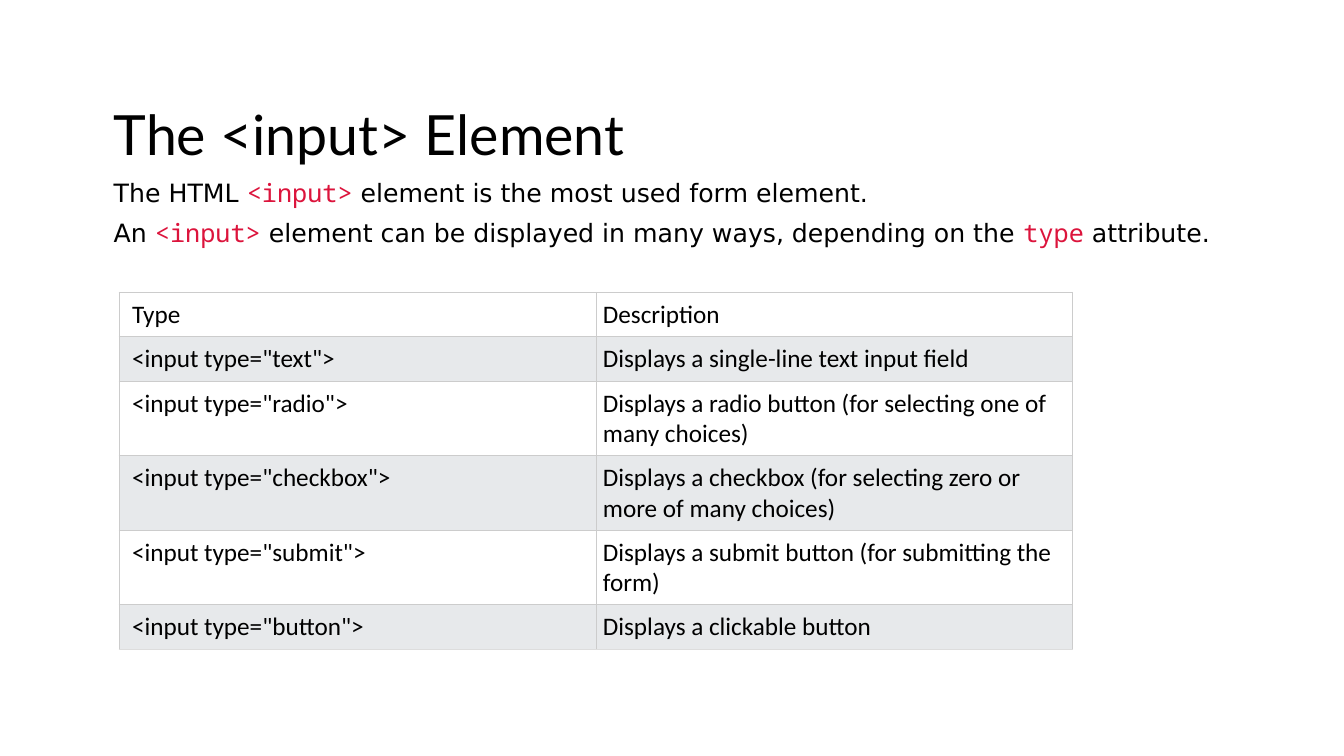
import dataclasses
import pptx
import pptx.dml.color
import pptx.enum.text
import pptx.oxml
import pptx.oxml.ns
import pptx.util
from pptx.util import Inches


@dataclasses.dataclass(frozen=True)
class Theme:
    ink: str = "000000"
    code: str = "DC143C"
    plain_row: str = "FFFFFF"
    shaded_row: str = "E7E9EB"
    border: str = "CCCCCC"
    last_border: str = "DDDDDD"
    border_width: float = 0.6
    title_font: str = "Lato"
    intro_font: str = "DejaVu Sans"
    code_font: str = "Noto Sans Mono"
    table_font: str = "Calibri"
    title_size: float = 39.6
    body_size: float = 18
    line_spacing: float = 1.35


THEME = Theme()
TITLE = "The <input> Element"
INTRO = [
    [("The HTML ", False), ("<input>", True),
     (" element is the most used form element.", False)],
    [("An ", False), ("<input>", True),
     (" element can be displayed in many ways, depending on the ", False),
     ("type", True), (" attribute.", False)],
]
INPUT_TYPES = [
    ("Type", "Description", 0.44),
    ('<input type="text">', "Displays a single-line text input field", 0.44),
    ('<input type="radio">',
     "Displays a radio button (for selecting one of many choices)", 0.74),
    ('<input type="checkbox">',
     "Displays a checkbox (for selecting zero or more of many choices)", 0.74),
    ('<input type="submit">',
     "Displays a submit button (for submitting the form)", 0.74),
    ('<input type="button">', "Displays a clickable button", 0.44),
]


def set_font(font, name, size, color):
    font.name = name
    font.size = pptx.util.Pt(size)
    font.color.rgb = pptx.dml.color.RGBColor.from_string(color)


def add_heading(page, left, top, width, height):
    box = page.shapes.add_textbox(Inches(left), Inches(top), Inches(width), Inches(height))
    frame = box.text_frame
    frame.word_wrap = True
    frame.vertical_anchor = pptx.enum.text.MSO_ANCHOR.TOP
    frame.margin_top = frame.margin_bottom = 0
    para = frame.paragraphs[0]
    para.text = TITLE
    para.line_spacing = THEME.line_spacing
    set_font(para.font, THEME.title_font, THEME.title_size, THEME.ink)
    for line in INTRO:
        para = frame.add_paragraph()
        para.line_spacing = THEME.line_spacing
        for text, is_code in line:
            span = para.add_run()
            span.text = text
            name = THEME.code_font if is_code else THEME.intro_font
            color = THEME.code if is_code else THEME.ink
            set_font(span.font, name, THEME.body_size, color)


def set_borders(cell, bottom_color):
    properties = cell._tc.get_or_add_tcPr()
    namespace = pptx.oxml.ns.nsdecls("a")
    width = pptx.util.Pt(THEME.border_width)
    for position, side in enumerate(("lnL", "lnR", "lnT", "lnB")):
        color = bottom_color if side == "lnB" else THEME.border
        line = pptx.oxml.parse_xml(
            f'<a:{side} {namespace} w="{width}"><a:solidFill>'
            f'<a:srgbClr val="{color}"/></a:solidFill></a:{side}>')
        properties.insert(position, line)


def add_type_table(page, left, top, width):
    height = sum(row[2] for row in INPUT_TYPES)
    table = page.shapes.add_table(
        len(INPUT_TYPES), 2, Inches(left), Inches(top), Inches(width), Inches(height)).table
    for column in table.columns:
        column.width = Inches(width / 2)
    for index, (name, description, row_height) in enumerate(INPUT_TYPES):
        table.rows[index].height = Inches(row_height)
        is_last = index == len(INPUT_TYPES) - 1
        fill = THEME.shaded_row if index % 2 else THEME.plain_row
        for cell, text, inset in zip(table.rows[index].cells, (name, description), (0.13, 0.07)):
            cell.text = text
            cell.margin_left = Inches(inset)
            cell.margin_right = cell.margin_top = cell.margin_bottom = Inches(0.07)
            cell.fill.solid()
            cell.fill.fore_color.rgb = pptx.dml.color.RGBColor.from_string(fill)
            font = cell.text_frame.paragraphs[0].font
            set_font(font, THEME.table_font, THEME.body_size, THEME.ink)
            font.bold = False
            set_borders(cell, THEME.last_border if is_last else THEME.border)


def main():
    deck = pptx.Presentation()
    deck.slide_width = Inches(13.33)
    deck.slide_height = Inches(7.5)
    page = deck.slides.add_slide(deck.slide_layouts[6])
    add_heading(page, 1.03, 0.76, 11.5, 1.58)
    add_type_table(page, 1.18, 2.9, 9.46)
    deck.save("out.pptx")


if __name__ == "__main__":
    main()
